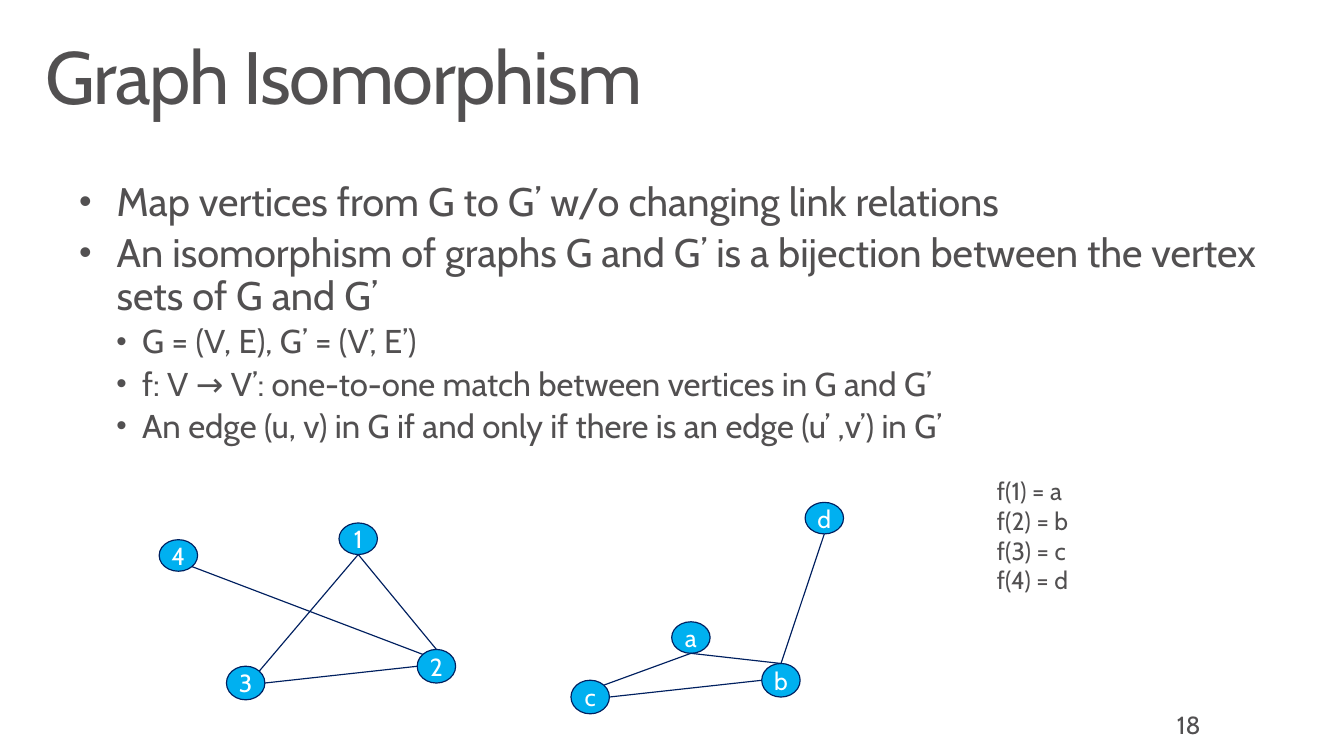
import math

from lxml import etree
from pptx import Presentation
from pptx.dml.color import RGBColor
from pptx.enum.shapes import MSO_CONNECTOR, MSO_SHAPE
from pptx.enum.text import MSO_ANCHOR, PP_ALIGN
from pptx.oxml.ns import qn
from pptx.util import Pt

OVAL = MSO_SHAPE.OVAL
STRAIGHT = MSO_CONNECTOR.STRAIGHT
MIDDLE, TOP = MSO_ANCHOR.MIDDLE, MSO_ANCHOR.TOP
LEFT, CENTER = PP_ALIGN.LEFT, PP_ALIGN.CENTER

FONT = "Cabin"
GREY, WHITE, BLUE, NAVY = "525051", "FFFFFF", "00B0F0", "002060"
NODE_W = 28
LINE_W = 0.85

# Level, text
BULLETS = [
    (0, "Map vertices from G to G’ w/o changing link relations"),
    (0, "An isomorphism of graphs G and G’ is a bijection between "
        "the vertex sets of G and G’"),
    (1, "G = (V, E), G’ = (V’, E’)"),
    (1, "f: V → V’: one-to-one match between vertices in G and G’"),
    (1, "An edge (u, v) in G if and only if there is an edge (u’ ,v’) in G’"),
]
# Per level: size, left margin, hanging indent
LEVELS = [(29, 27.4, 27.4), (24, 46, 18.7)]

MAPPING = ["f(1) = a", "f(2) = b", "f(3) = c", "f(4) = d"]

# Node: left, top, height within the graph's box
GRAPH_G = {"1": (131, 0, 23), "3": (49, 104.4, 24.5),
           "2": (188, 92.2, 24.5), "4": (0, 12.2, 23)}
GRAPH_G2 = {"a": (73.4, 87, 23), "c": (0, 129.6, 24.5),
            "b": (139, 117.4, 24.5), "d": (170.6, 0, 23)}

# Clockwise angles from the right-hand side of a node
ANGLES = {"right": 0, "lower right": 45, "bottom": 90, "left": 180,
          "upper left": 225, "top": 270, "upper right": 315}
EDGES_G = [("4", "lower right", "2", "upper left"),
           ("1", "bottom", "3", "upper right"),
           ("1", "bottom", "2", "top"),
           ("3", "right", "2", "left")]
EDGES_G2 = [("d", "bottom", "b", "top"),
            ("a", "bottom", "c", "upper right"),
            ("a", "bottom", "b", "top"),
            ("c", "right", "b", "left")]


def rgb(color):
    return RGBColor.from_string(color)


def set_font(p, size, color=GREY):
    p.font.name = FONT
    p.font.size = Pt(size)
    p.font.color.rgb = rgb(color)


def set_frame(tf, anchor, side, edge):
    tf.word_wrap = True
    tf.vertical_anchor = anchor
    tf.margin_left = tf.margin_right = Pt(side)
    tf.margin_top = tf.margin_bottom = Pt(edge)


def add_bullet(p, margin, hang):
    pPr = p._p.get_or_add_pPr()
    pPr.set("marL", str(Pt(margin)))
    pPr.set("indent", str(-Pt(hang)))
    size = etree.Element(qn("a:buSzPct"), val="90000")
    font = etree.Element(qn("a:buFont"), typeface="Arial")
    char = etree.Element(qn("a:buChar"), char="•")
    # Bullet settings stand before the default run properties
    for element in (size, font, char):
        pPr.find(qn("a:defRPr")).addprevious(element)


def add_title(s, left, top, width, height):
    title = s.shapes.title
    title.left, title.top = Pt(left), Pt(top)
    title.width, title.height = Pt(width), Pt(height)
    tf = title.text_frame
    set_frame(tf, MIDDLE, 11.5, 7.2)
    p = tf.paragraphs[0]
    p.alignment = LEFT
    p.line_spacing = 0.9
    r = p.add_run()
    r.text = "Graph Isomorphism"
    set_font(p, 54)
    r.font._element.set("spc", "-100")


def add_lines(s, left, top, width, height, lines, size=18):
    """Add a text box with one paragraph per line and return the paragraphs."""
    box = s.shapes.add_textbox(Pt(left), Pt(top), Pt(width), Pt(height))
    tf = box.text_frame
    set_frame(tf, TOP, 8.6, 4.3)
    tf.text = "\n".join(lines)
    for p in tf.paragraphs:
        set_font(p, size)
    return tf.paragraphs


def add_body(s, left, top, width, height):
    paragraphs = add_lines(s, left, top, width, height,
                           [text for _, text in BULLETS])
    for p, (level, _) in zip(paragraphs, BULLETS):
        size, margin, hang = LEVELS[level]
        p.level = level
        p.line_spacing = 0.9
        p.space_before = Pt(size * 0.2)
        set_font(p, size)
        add_bullet(p, margin, hang)


def add_node(group, label, left, top, height):
    node = group.shapes.add_shape(OVAL, Pt(left), Pt(top), Pt(NODE_W), Pt(height))
    node.shadow.inherit = False
    node.fill.solid()
    node.fill.fore_color.rgb = rgb(BLUE)
    node.line.color.rgb = rgb(NAVY)
    node.line.width = Pt(LINE_W)
    tf = node.text_frame
    set_frame(tf, MIDDLE, 0, 0)
    tf.word_wrap = False
    p = tf.paragraphs[0]
    p.text = label
    p.alignment = CENTER
    set_font(p, 18, WHITE)


def rim_point(node, side):
    left, top, height = node
    angle = math.radians(ANGLES[side])
    return (left + NODE_W / 2 * (1 + math.cos(angle)),
            top + height / 2 * (1 + math.sin(angle)))


def add_edge(group, start, end):
    line = group.shapes.add_connector(
        STRAIGHT, *(Pt(value) for value in start + end))
    line.line.color.rgb = rgb(NAVY)
    line.line.width = Pt(LINE_W)
    etree.SubElement(line._element.spPr, qn("a:effectLst"))


def add_graph(s, left, top, nodes, edges):
    group = s.shapes.add_group_shape()
    placed = {label: (left + x, top + y, height)
              for label, (x, y, height) in nodes.items()}
    for label, node in placed.items():
        add_node(group, label, *node)
    for tail, tail_side, head, head_side in edges:
        add_edge(group, rim_point(placed[tail], tail_side),
                 rim_point(placed[head], head_side))


def main():
    prs = Presentation()
    prs.slide_width, prs.slide_height = Pt(979.2), Pt(550.8)
    s = prs.slides.add_slide(prs.slide_layouts[5])
    add_title(s, 21.6, 23, 936, 72)
    add_body(s, 49, 128.2, 881.3, 207.4)
    add_lines(s, 848.9, 512.6, 81.4, 38.2, ["18"])
    add_graph(s, 116, 381, GRAPH_G, EDGES_G)
    add_graph(s, 416, 366, GRAPH_G2, EDGES_G2)
    add_lines(s, 717.8, 342.7, 105.8, 95.8, MAPPING)
    prs.save("out.pptx")


if __name__ == "__main__":
    main()
